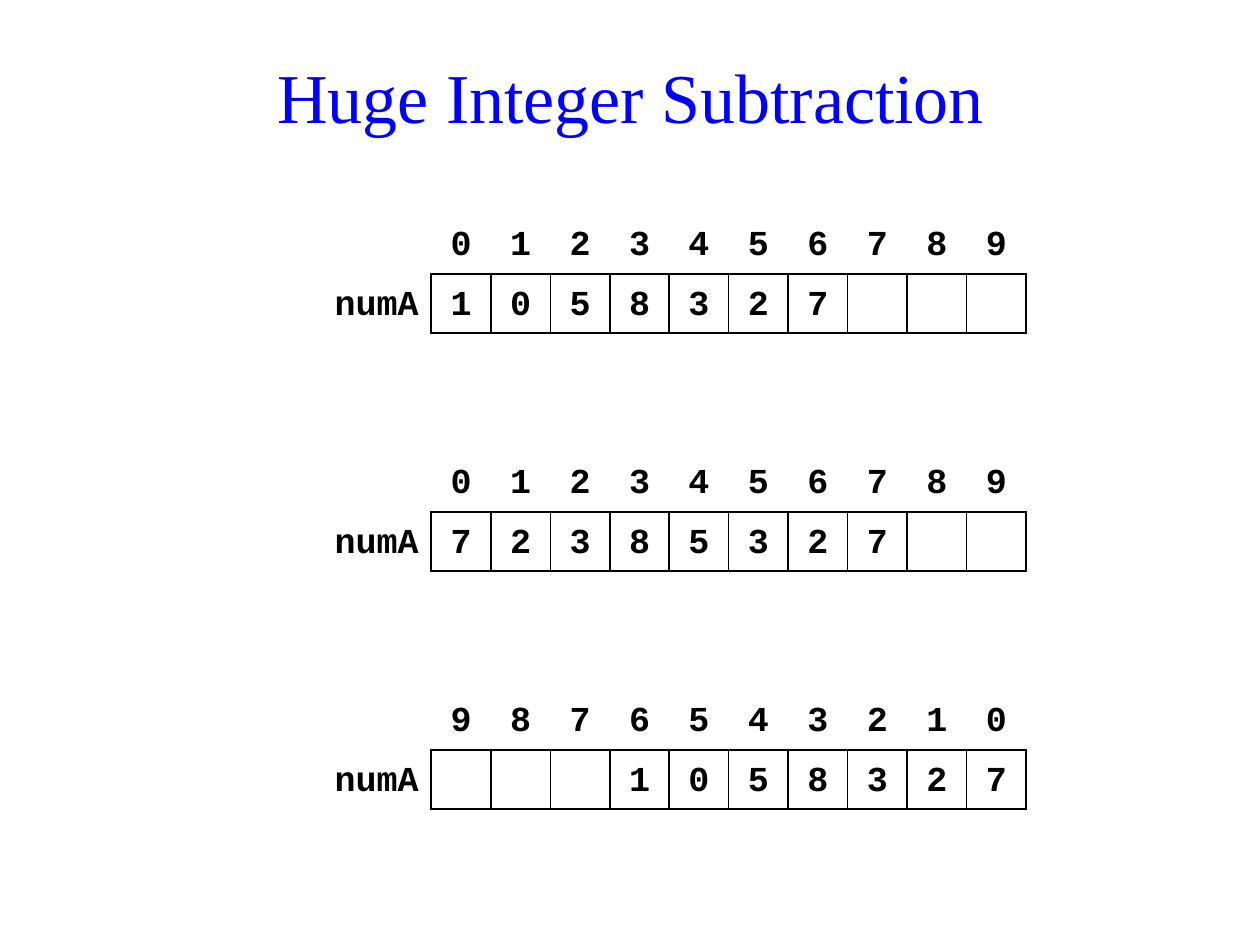
"""Build a slide that shows three digit arrays with their indices."""
from dataclasses import dataclass

from lxml import etree
from pptx import Presentation
from pptx.dml.color import RGBColor
from pptx.enum.text import MSO_ANCHOR, PP_ALIGN
from pptx.oxml.ns import qn
from pptx.util import Inches, Pt

CENTER, RIGHT = PP_ALIGN.CENTER, PP_ALIGN.RIGHT
MIDDLE = MSO_ANCHOR.MIDDLE
TITLE_ONLY = 5
UNIT = Pt(34)
LENGTH = 10
LABEL_COLUMNS = 2
TABLE_LEFT = 5.25
FIRST_TOP, TOP_STEP = 3.6, 4
PLAIN_STYLE = "{2D5ABB26-0587-4C30-8999-92F81FD0307C}"


@dataclass(frozen=True)
class Theme:
    title_font: str = "Times New Roman"
    code_font: str = "Courier New"
    title_color: str = "0000FF"
    ink: str = "000000"
    title_size: int = 40
    code_size: int = 20
    line_spacing: float = 1.25
    outer_line: float = 1.5
    inner_line: float = 1
    side_inset: float = 0.1
    end_inset: float = 0.02


@dataclass(frozen=True)
class DigitArray:
    slot: int
    indices: str
    digits: str
    index_inset: float = 0.1
    label: str = "numA"


THEME = Theme()
ARRAYS = (
    DigitArray(1, "0123456789", "72385327  "),
    DigitArray(0, "0123456789", "1058327   "),
    DigitArray(2, "9876543210", "   1058327", index_inset=0.04),
)


def grid(count: float) -> int:
    """Return the length of a number of grid units."""
    return round(count * UNIT)


def format_font(font, name: str, size: int, color: str, bold: bool) -> None:
    """Apply the type settings to a font."""
    for key, value in {"name": name, "size": Pt(size), "bold": bold}.items():
        setattr(font, key, value)
    font.color.rgb = RGBColor.from_string(color)


def draw_borders(cell, widths: dict[str, float]) -> None:
    """Draw the given sides of a cell, keyed L, R, T and B in that order."""
    properties = cell._tc.get_or_add_tcPr()
    for side, width in widths.items():
        line = etree.SubElement(properties, qn(f"a:ln{side}"), w=str(Pt(width)))
        fill = etree.SubElement(line, qn("a:solidFill"))
        etree.SubElement(fill, qn("a:srgbClr"), val=THEME.ink)


def fill_cell(cell, text: str, align: PP_ALIGN, inset: float,
              borders: dict[str, float]) -> None:
    """Set the margins, borders and text of one cell."""
    margins = {"left": inset, "right": inset,
               "top": THEME.end_inset, "bottom": THEME.end_inset}
    for side, margin in margins.items():
        setattr(cell, f"margin_{side}", Inches(margin))
    draw_borders(cell, borders)
    cell.fill.background()
    para = cell.text_frame.paragraphs[0]
    para.alignment = align
    para.line_spacing = THEME.line_spacing
    if text.strip():
        span = para.add_run()
        span.text = text
        format_font(span.font, THEME.code_font, THEME.code_size, THEME.ink, True)


def draw_array(page, array: DigitArray) -> None:
    """Draw an array as a row of indices over a row of boxed digits."""
    frame = page.shapes.add_table(
        2, LENGTH + 1, grid(TABLE_LEFT), grid(FIRST_TOP + array.slot * TOP_STEP),
        grid(LABEL_COLUMNS + LENGTH), grid(2))
    table = frame.table
    table._tbl.tblPr.find(qn("a:tableStyleId")).text = PLAIN_STYLE
    table.first_row = table.horz_banding = False
    for row in table.rows:
        row.height = UNIT
    for number, column in enumerate(table.columns):
        column.width = grid(1 if number else LABEL_COLUMNS)

    outer, inner = THEME.outer_line, THEME.inner_line
    fill_cell(table.cell(0, 0), "", RIGHT, THEME.side_inset, {})
    fill_cell(table.cell(1, 0), array.label, RIGHT, THEME.side_inset, {"R": outer})
    for column, (index, digit) in enumerate(zip(array.indices, array.digits), 1):
        box = {"L": outer if column == 1 else inner,
               "R": outer if column == LENGTH else inner,
               "T": outer, "B": outer}
        fill_cell(table.cell(0, column), index, CENTER, array.index_inset, {"B": outer})
        fill_cell(table.cell(1, column), digit, CENTER, THEME.side_inset, box)


def draw_title(page, text: str) -> None:
    """Place and format the title."""
    title = page.shapes.title
    places = {"left": 0.6, "top": 0.6, "width": 20, "height": 2}
    for key, count in places.items():
        setattr(title, key, grid(count))
    title.text_frame.vertical_anchor = MIDDLE
    para = title.text_frame.paragraphs[0]
    para.alignment = CENTER
    span = para.add_run()
    span.text = text
    format_font(span.font, THEME.title_font, THEME.title_size, THEME.title_color, False)


def main() -> None:
    """Build and save the deck."""
    deck = Presentation()
    deck.slide_width, deck.slide_height = Inches(10), Inches(7.5)
    page = deck.slides.add_slide(deck.slide_layouts[TITLE_ONLY])
    draw_title(page, "Huge Integer Subtraction")
    for array in ARRAYS:
        draw_array(page, array)
    deck.save("out.pptx")


if __name__ == "__main__":
    main()
